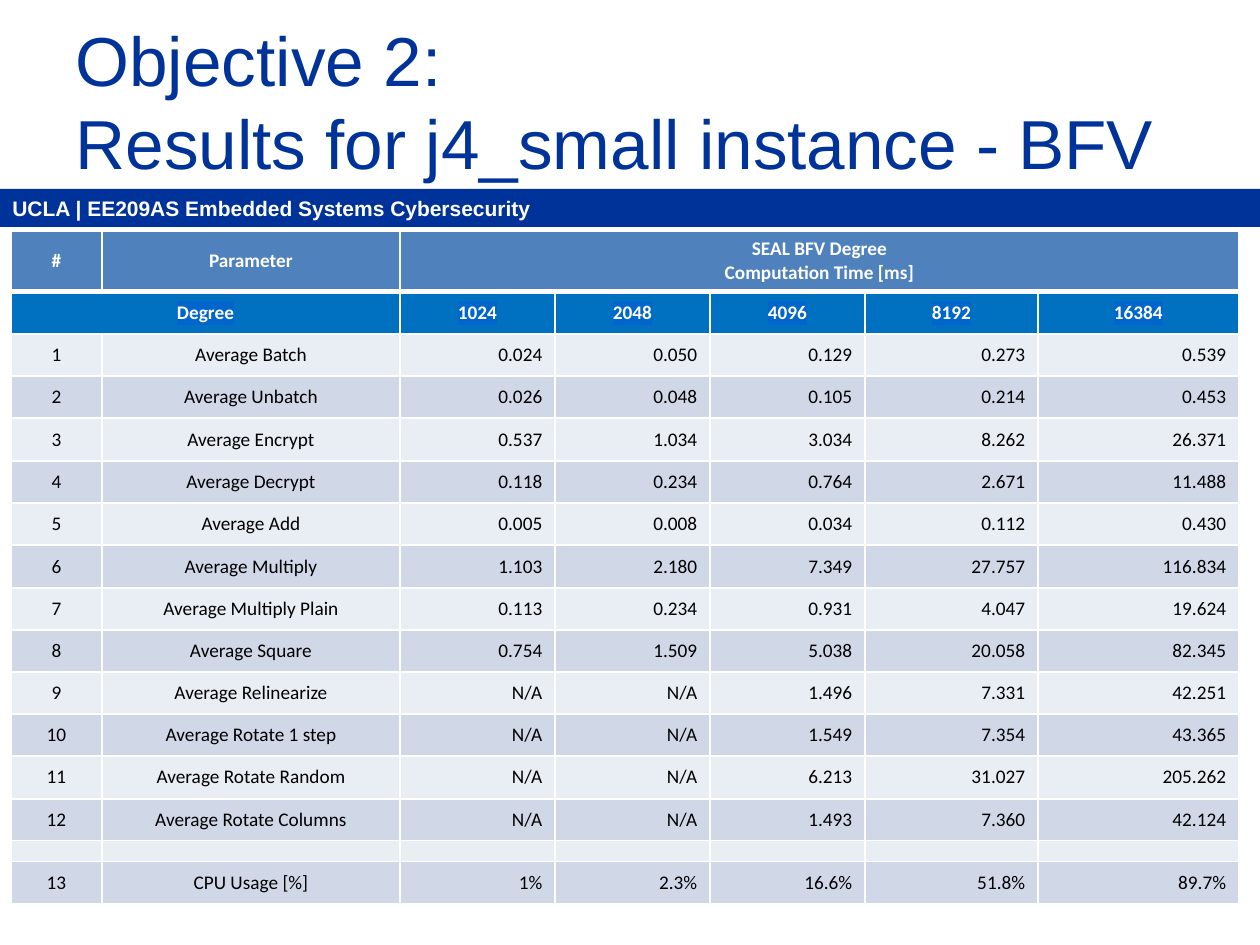
from dataclasses import dataclass

from lxml.etree import SubElement
from pptx import Presentation
from pptx.dml.color import RGBColor
from pptx.enum.shapes import MSO_SHAPE
from pptx.enum.text import MSO_ANCHOR, MSO_AUTO_SIZE, PP_ALIGN
from pptx.oxml.ns import qn
from pptx.util import Pt

SCALE = 914400 / 126  # EMU per px


@dataclass(frozen=True)
class Theme:
    navy: str = "003399"
    header: str = "4F81BD"
    degree: str = "0070C0"
    highlight: str = "0066CC"
    bands: tuple = ("E9EDF4", "D0D8E8")
    white: str = "FFFFFF"
    black: str = "000000"
    heading_font: str = "Arial"
    table_font: str = "Calibri"
    title_size: float = 39.6
    bar_size: int = 12
    table_size: int = 11
    spacer_size: int = 4


THEME = Theme()
COLUMNS = [91, 298, 155, 155, 155, 173, 201]
HEADER_H, DEGREE_H, RESULTS_H, SPACER_H, USAGE_H = 60, 43, 507, 21, 42
DEGREES = ["1024", "2048", "4096", "8192", "16384"]
RESULTS = [
    ("Batch", "0.024", "0.050", "0.129", "0.273", "0.539"),
    ("Unbatch", "0.026", "0.048", "0.105", "0.214", "0.453"),
    ("Encrypt", "0.537", "1.034", "3.034", "8.262", "26.371"),
    ("Decrypt", "0.118", "0.234", "0.764", "2.671", "11.488"),
    ("Add", "0.005", "0.008", "0.034", "0.112", "0.430"),
    ("Multiply", "1.103", "2.180", "7.349", "27.757", "116.834"),
    ("Multiply Plain", "0.113", "0.234", "0.931", "4.047", "19.624"),
    ("Square", "0.754", "1.509", "5.038", "20.058", "82.345"),
    ("Relinearize", "N/A", "N/A", "1.496", "7.331", "42.251"),
    ("Rotate 1 step", "N/A", "N/A", "1.549", "7.354", "43.365"),
    ("Rotate Random", "N/A", "N/A", "6.213", "31.027", "205.262"),
    ("Rotate Columns", "N/A", "N/A", "1.493", "7.360", "42.124"),
]
CPU_USAGE = ["1%", "2.3%", "16.6%", "51.8%", "89.7%"]


def px(n):
    return round(n * SCALE)


def rgb(value):
    return RGBColor.from_string(value)


def add_run(p, text, font, size, color, bold=False):
    r = p.add_run()
    r.text = text
    r.font.name, r.font.size, r.font.bold = font, Pt(size), bold
    r.font.color.rgb = rgb(color)
    return r


def add_title(s, x, y, w, h, lines):
    sp = s.shapes.title
    sp.left, sp.top, sp.width, sp.height = px(x), px(y), px(w), px(h)
    tf = sp.text_frame
    tf.word_wrap = True
    tf.auto_size = MSO_AUTO_SIZE.NONE
    tf.vertical_anchor = MSO_ANCHOR.MIDDLE
    p = tf.paragraphs[0]
    p.alignment = PP_ALIGN.LEFT
    p.line_spacing = 1.0
    for i, line in enumerate(lines):
        if i:
            p.add_line_break()
        add_run(p, line, THEME.heading_font, THEME.title_size, THEME.navy)


def add_course_bar(s, x, y, w, h, text):
    sp = s.shapes.add_shape(MSO_SHAPE.RECTANGLE, px(x), px(y), px(w), px(h))
    sp.shadow.inherit = False
    sp.fill.solid()
    sp.fill.fore_color.rgb = rgb(THEME.navy)
    sp.line.fill.background()
    tf = sp.text_frame
    tf.word_wrap = True
    tf.vertical_anchor = MSO_ANCHOR.MIDDLE
    p = tf.paragraphs[0]
    p.alignment = PP_ALIGN.LEFT
    add_run(p, text, THEME.heading_font, THEME.bar_size, THEME.white, bold=True)


def style_cell(cell, fill, bottom=1):
    """White borders, then the fill."""
    tcPr = cell._tc.get_or_add_tcPr()
    for side, width in (("L", 1), ("R", 1), ("T", 1), ("B", bottom)):
        ln = SubElement(tcPr, qn(f"a:ln{side}"), w=str(Pt(width)))
        SubElement(SubElement(ln, qn("a:solidFill")), qn("a:srgbClr"), val=THEME.white)
    cell.fill.solid()
    cell.fill.fore_color.rgb = rgb(fill)
    cell.vertical_anchor = MSO_ANCHOR.MIDDLE


def write_cell(cell, lines, color, align=PP_ALIGN.CENTER, bold=False, highlight=None):
    tf = cell.text_frame
    for i, line in enumerate(lines):
        p = tf.add_paragraph() if i else tf.paragraphs[0]
        p.alignment = align
        r = add_run(p, line, THEME.table_font, THEME.table_size, color, bold)
        if highlight:
            rPr = r.font._element
            mark = SubElement(rPr, qn("a:highlight"))
            SubElement(mark, qn("a:srgbClr"), val=highlight)
            rPr.find(qn("a:solidFill")).addnext(mark)


def write_heading(table, row, labels, fill, bottom=1, highlight=None):
    """Labels are keyed by column."""
    for col in range(len(COLUMNS)):
        cell = table.cell(row, col)
        style_cell(cell, fill, bottom)
        if col in labels:
            write_cell(cell, labels[col], THEME.white, bold=True, highlight=highlight)


def write_body_row(table, row, texts):
    for col, text in enumerate(texts):
        cell = table.cell(row, col)
        style_cell(cell, THEME.bands[row % 2])
        align = PP_ALIGN.CENTER if col < 2 else PP_ALIGN.RIGHT
        write_cell(cell, [text], THEME.black, align)


def write_spacer(table, row):
    for col in range(len(COLUMNS)):
        cell = table.cell(row, col)
        style_cell(cell, THEME.bands[row % 2])
        cell.margin_top = cell.margin_bottom = 0
        end = SubElement(cell.text_frame.paragraphs[0]._p, qn("a:endParaRPr"))
        end.set("sz", str(THEME.spacer_size * 100))


def add_results_table(s, x, y):
    n = len(RESULTS)
    edges = [round(i * RESULTS_H / n) for i in range(n + 1)]
    heights = [HEADER_H, DEGREE_H, *(b - a for a, b in zip(edges, edges[1:])),
               SPACER_H, USAGE_H]
    frame = s.shapes.add_table(len(heights), len(COLUMNS), px(x), px(y),
                               px(sum(COLUMNS)), px(sum(heights)))
    table = frame.table
    table.first_row = table.horz_banding = False
    for column, width in zip(table.columns, COLUMNS):
        column.width = px(width)
    for row, height in zip(table.rows, heights):
        row.height = px(height)

    # Two heading rows
    write_heading(table, 0, {0: ["#"], 1: ["Parameter"],
                             2: ["SEAL BFV Degree", "Computation Time [ms]"]},
                  THEME.header, bottom=3)
    table.cell(0, 2).merge(table.cell(0, len(COLUMNS) - 1))
    degrees = {col: [text] for col, text in enumerate(DEGREES, 2)}
    write_heading(table, 1, {0: ["Degree"], **degrees}, THEME.degree,
                  highlight=THEME.highlight)
    table.cell(1, 0).merge(table.cell(1, 1))

    # Timings, spacer and processor load
    for i, (name, *values) in enumerate(RESULTS, 1):
        write_body_row(table, i + 1, [str(i), f"Average {name}", *values])
    write_spacer(table, n + 2)
    write_body_row(table, n + 3, [str(n + 1), "CPU Usage [%]", *CPU_USAGE])


def main():
    prs = Presentation()
    prs.slide_width, prs.slide_height = px(1260), px(945)
    s = prs.slides.add_slide(prs.slide_layouts[5])
    add_title(s, 63, 21, 1134, 158,
              ["Objective 2: ", "Results for j4_small instance - BFV"])
    add_course_bar(s, 0, 189, 1260, 38, "UCLA | EE209AS Embedded Systems Cybersecurity")
    add_results_table(s, 11, 231)
    prs.save("out.pptx")


if __name__ == "__main__":
    main()
